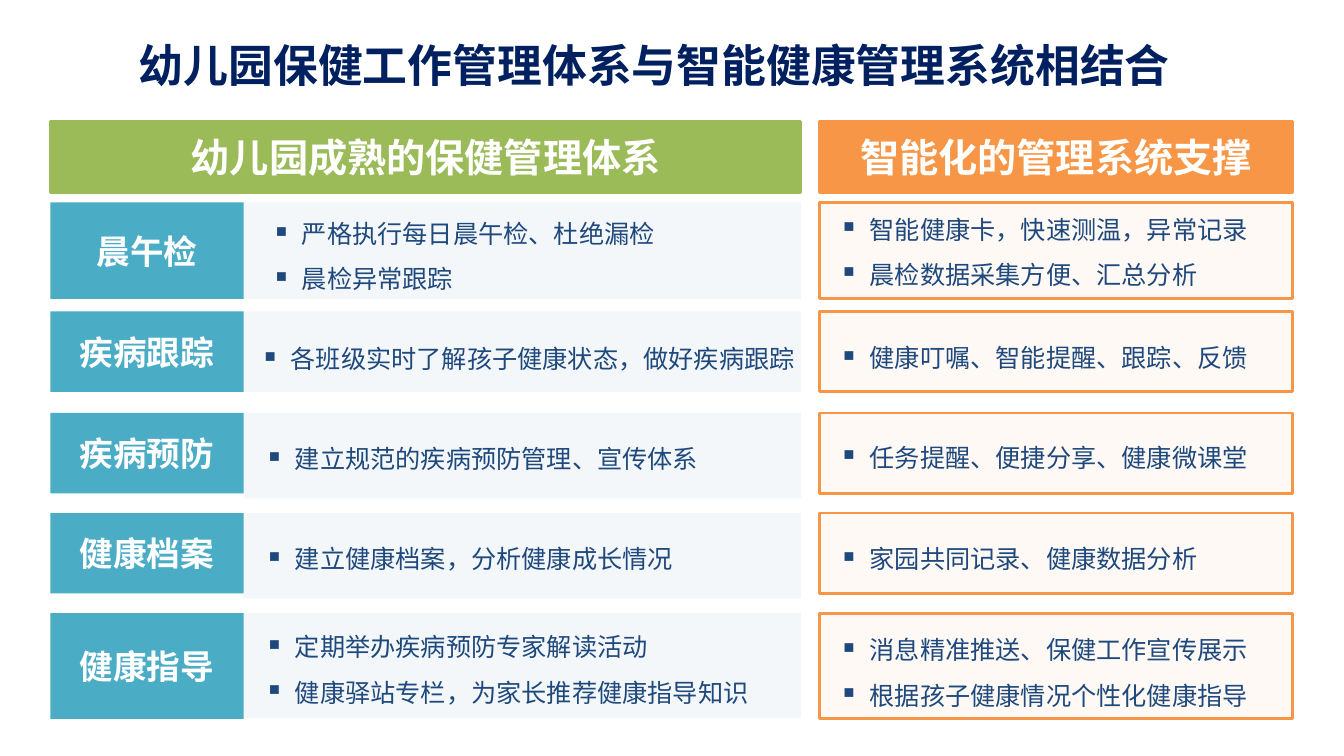
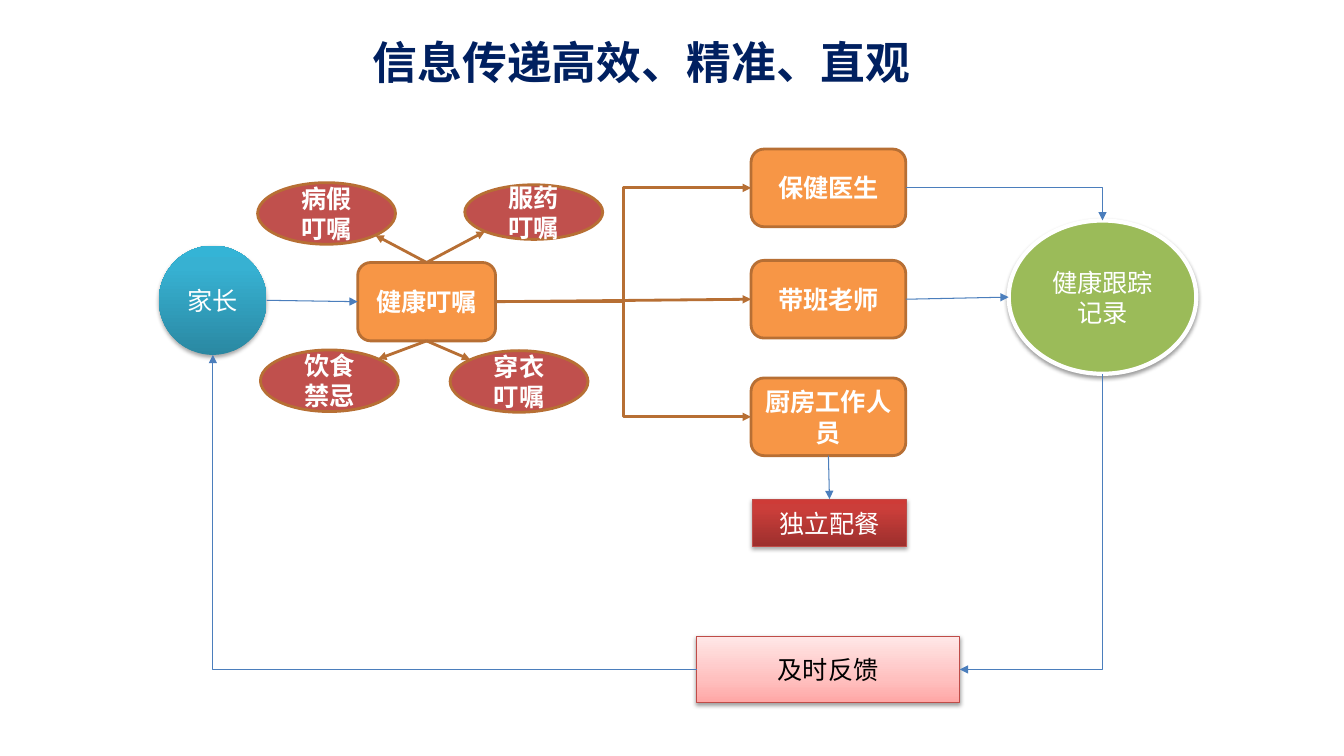
from dataclasses import dataclass
from math import cos, radians, sin

from lxml.etree import SubElement
from pptx import Presentation
from pptx.dml.color import RGBColor
from pptx.enum.shapes import MSO_CONNECTOR as Link, MSO_SHAPE as Form
from pptx.enum.text import MSO_ANCHOR as Anchor, MSO_AUTO_SIZE as Fit, PP_ALIGN as Align
from pptx.oxml.ns import qn
from pptx.util import Pt


@dataclass(frozen=True)
class Theme:
    navy: str = "002060"
    ink: str = "1F497D"
    white: str = "FFFFFF"
    black: str = "000000"
    teal: str = "4BACC6"
    green: str = "9BBB59"
    orange: str = "F79646"
    mist: str = "176C95"
    red: str = "C0504D"
    brown: str = "B76F34"
    blue: str = "4B7EBC"
    edge: str = "BF4C48"
    sea: tuple = ((0, "2A88A2"), (80, "37B1D2"), (100, "34B4D6"))
    wine: tuple = ((0, "9C2F2D"), (80, "CB3E3A"), (100, "CE3B37"))
    rose: tuple = ((0, "FFA6A5"), (35, "FFC0BF"), (100, "FFE7E7"))
    sans: str = "Noto Sans CJK SC"
    body: str = "Calibri"
    title: int = 32
    head: int = 28
    label: int = 24
    text: int = 18


T = Theme()
SIDES = ("n", "nw", "w", "sw", "s", "se", "e", "ne")
TURNS = {"e": 0, "s": 90, "w": 180}


def rgb(code):
    return RGBColor.from_string(code)


def put(root, tag, **attrs):
    return SubElement(root, qn(tag), {k: str(v) for k, v in attrs.items()})


def style(para, size, color, name, bold=False):
    font = para.font
    font.size, font.name, font.bold = Pt(size), name, bold
    font.color.rgb = rgb(color)


def paint(shape, fill, alpha=None):
    """Fill with a colour, or upwards with (percent, colour) stops."""
    props = shape.element.spPr
    if isinstance(fill, str):
        shape.fill.solid()
        shape.fill.fore_color.rgb = rgb(fill)
        if alpha:
            put(props.find(qn("a:solidFill"))[0], "a:alpha", val=alpha * 1000)
        return
    shape.fill.gradient()
    shape.fill.gradient_angle = 90
    stops = props.find(qn("a:gradFill")).find(qn("a:gsLst"))
    for old in list(stops):
        stops.remove(old)
    for pos, code in fill:
        put(put(stops, "a:gs", pos=pos * 1000), "a:srgbClr", val=code)


def draw(slide, form, box, fill, line=None, width=2, alpha=None, shade=0):
    """Add a shape; shade is the opacity of its shadow in percent."""
    shape = slide.shapes.add_shape(form, *map(Pt, box))
    shape.shadow.inherit = False
    paint(shape, fill, alpha)
    if line:
        shape.line.color.rgb = rgb(line)
        shape.line.width = Pt(width)
    else:
        shape.line.fill.background()
    if shade:
        glow = put(shape.element.spPr.find(qn("a:effectLst")), "a:outerShdw",
                   blurRad=Pt(3.1), dist=Pt(1.7), dir=5400000, rotWithShape=0)
        put(put(glow, "a:srgbClr", val=T.black), "a:alpha", val=shade * 1000)
    return shape


def write(shape, lines, size, color=T.white, name=T.body, bold=True):
    frame = shape.text_frame
    frame.word_wrap = True
    frame.vertical_anchor = Anchor.MIDDLE
    for i, text in enumerate(lines):
        para = frame.add_paragraph() if i else frame.paragraphs[0]
        para.text = text
        para.alignment = Align.CENTER
        style(para, size, color, name, bold)


def head(slide, text, box):
    title = slide.shapes.title
    title.left, title.top, title.width, title.height = map(Pt, box)
    frame = title.text_frame
    frame.text = text
    frame.auto_size = Fit.NONE
    frame.vertical_anchor = Anchor.TOP
    para = frame.paragraphs[0]
    para.alignment = Align.LEFT
    style(para, T.title, T.navy, T.sans, True)


def panel(slide, box, lines, inset, fill, line=None):
    """Tinted box with a bullet list; inset is its left and top margin."""
    shape = draw(slide, Form.RECTANGLE, box, fill, line, alpha=5)
    frame = shape.text_frame
    frame.word_wrap = True
    frame.vertical_anchor = Anchor.TOP
    frame.margin_left, frame.margin_top = map(Pt, inset)
    frame.margin_right = frame.margin_bottom = 0
    for i, text in enumerate(lines):
        para = frame.add_paragraph() if i else frame.paragraphs[0]
        para.text = text
        props = para._p.get_or_add_pPr()
        props.set("marL", str(Pt(18.7)))
        props.set("indent", str(-Pt(18.7)))
        put(props, "a:buSzPct", val=60000)
        put(props, "a:buChar", char="■")
        para.alignment = Align.LEFT
        para.line_spacing = 1.5
        style(para, T.text, T.ink, T.sans)


def site(shape, side):
    """Point on the edge of a shape that a compass side names."""
    turn = radians(90 + 45 * SIDES.index(side))
    return (int(shape.left + shape.width * (1 + cos(turn)) / 2),
            int(shape.top + shape.height * (1 - sin(turn)) / 2))


def corner(line, start, end, turn):
    """Turn a connector into one with a single right-angled bend."""
    wide, high = abs(end[0] - start[0]), abs(end[1] - start[1])
    midx, midy = (start[0] + end[0]) // 2, (start[1] + end[1]) // 2
    if turn == 90:
        wide, high = high, wide
    props = line.element.spPr
    props.find(qn("a:prstGeom")).set("prst", "bentConnector2")
    form = props.find(qn("a:xfrm"))
    for flip in ("flipH", "flipV"):
        form.attrib.pop(flip, None)
    form.set("rot", str(turn * 60000))
    line.left, line.top = midx - wide // 2, midy - high // 2
    line.width, line.height = wide, high


def join(slide, kind, tail, out, tip, into, color=T.blue, width=0.75):
    """Glue an arrow from one side of a shape to a side of another."""
    start, end = site(tail, out), site(tip, into)
    base = Link.STRAIGHT if kind == "line" else Link.ELBOW
    line = slide.shapes.add_connector(base, *start, *end)
    if kind == "corner":
        corner(line, start, end, TURNS[out])
    line.line.color.rgb = rgb(color)
    line.line.width = Pt(width)
    props = line.element.spPr
    put(props.find(qn("a:ln")), "a:tailEnd", type="triangle")
    put(props, "a:effectLst")
    glue = line.element.find(qn("p:nvCxnSpPr")).find(qn("p:cNvCxnSpPr"))
    for tag, shape, side in (("a:stCxn", tail, out), ("a:endCxn", tip, into)):
        step = 1 if shape.auto_shape_type == Form.OVAL else 2
        put(glue, tag, id=shape.shape_id, idx=SIDES.index(side) // step)


def row(slide, box, label, high, left, linset, right, rinset):
    """Label, practice and system panels; high is the practice panel's height."""
    x, y, w, h = box
    name = draw(slide, Form.RECTANGLE, (x, y, 138, h), T.teal)
    write(name, [label], T.label, name=T.sans)
    panel(slide, (x + 138, y, 398, high), left, linset, T.mist)
    panel(slide, (x + 549.5, y, w - 549.5, h), right, rinset, T.orange, T.orange)


def system(slide, box):
    x, y, w, h = box
    for dx, wide, text, fill in (
            (0, 536, "幼儿园成熟的保健管理体系", T.green),
            (549.5, w - 549.5, "智能化的管理系统支撑", T.orange)):
        bar = draw(slide, Form.RECTANGLE, (x + dx, y, wide, 50.5), fill, fill)
        write(bar, [text], T.head)
    rows = (
        (57.5, 69, "晨午检", 69,
         ["严格执行每日晨午检、杜绝漏检", "晨检异常跟踪"], (23, 0.7),
         ["智能健康卡，快速测温，异常记录", "晨检数据采集方便、汇总分析"], (17, -2.5)),
        (135.5, 57.5, "疾病跟踪", 57.5,
         ["各班级实时了解孩子健康状态，做好疾病跟踪"], (15, 12),
         ["健康叮嘱、智能提醒、跟踪、反馈"], (17, 11.5)),
        (208, 57.5, "疾病预防", 61,
         ["建立规范的疾病预防管理、宣传体系"], (18, 11),
         ["任务提醒、便捷分享、健康微课堂"], (17, 10)),
        (279.5, 57.5, "健康档案", 61,
         ["建立健康档案，分析健康成长情况"], (18, 11),
         ["家园共同记录、健康数据分析"], (17, 11)),
        (351, 75.5, "健康指导", 75,
         ["定期举办疾病预防专家解读活动", "健康驿站专栏，为家长推荐健康指导知识"], (18, 2.5),
         ["消息精准推送、保健工作宣传展示", "根据孩子健康情况个性化健康指导"], (17, 4.5)),
    )
    for dy, high, *rest in rows:
        row(slide, (x, y + dy, w, high), *rest)


def advice(slide, box):
    """The advice hub with its four kinds around it; returns the hub."""
    x, y, w, h = box
    hub = draw(slide, Form.ROUNDED_RECTANGLE, (x + 71.5, y + 57, 98.5, 56),
               T.orange, T.brown)
    write(hub, ["健康叮嘱"], T.text)
    for dx, dy, high, lines, out, into in (
            (0, 0, 44, ("病假", "叮嘱"), "n", "se"),
            (w - 90, 1.5, 39, ("服药", "叮嘱"), "n", "sw"),
            (2, h - 44.5, 44, ("饮食", "禁忌"), "s", "ne"),
            (137.5, h - 44, 44, ("穿衣", "叮嘱"), "s", "nw")):
        oval = draw(slide, Form.OVAL, (x + dx, y + dy, 98.5, high), T.red, T.brown)
        write(oval, lines, T.text)
        join(slide, "line", hub, out, oval, into, T.brown, 2)
    return hub


def staff(slide, box):
    """Column of the three roles; returns their boxes."""
    x, y, w, h = box
    found = []
    for dy, text in ((0, "保健医生"), (79.5, "带班老师"), (h - 55.5, "厨房工作人员")):
        role = draw(slide, Form.ROUNDED_RECTANGLE, (x, y + dy, w, 55.5),
                    T.orange, T.brown)
        write(role, [text], T.text)
        found.append(role)
    return found


def flow(slide, box):
    x, y, w, h = box
    home = draw(slide, Form.OVAL, (x, y + 69, 77, 78), T.sea, shade=35)
    write(home, ["家长"], T.text, bold=False)
    log = draw(slide, Form.OVAL, (x + w - 134, y + 51, 134, 109.5),
               T.green, T.white, 3, shade=38)
    write(log, ["健康跟踪", "记录"], T.text, bold=False)
    meal = draw(slide, Form.RECTANGLE, (x + 424, y + 250, 110, 34),
                T.wine, T.edge, 0.75, shade=35)
    write(meal, ["独立配餐"], T.text, bold=False)
    reply = draw(slide, Form.RECTANGLE, (x + 384, y + h - 47.5, 188, 47.5),
                 T.rose, T.edge, 0.75, shade=38)
    write(reply, ["及时反馈"], T.text, T.black, bold=False)

    hub = advice(slide, (x + 70.5, y + 24, 238, 164))
    doctor, tutor, cook = staff(slide, (x + 423, y, 110.5, 219))
    for kind, role in (("line", tutor), ("elbow", doctor), ("elbow", cook)):
        join(slide, kind, hub, "e", role, "w", T.brown, 2)
    for link in (("line", home, "e", hub, "w"),
                 ("corner", doctor, "e", log, "n"),
                 ("line", tutor, "e", log, "w"),
                 ("line", cook, "s", meal, "n"),
                 ("corner", log, "s", reply, "e"),
                 ("corner", reply, "w", home, "s")):
        join(slide, *link)


def main():
    deck = Presentation()
    deck.slide_width, deck.slide_height = Pt(960), Pt(540)
    for text, place, body, box in (
            ("幼儿园保健工作管理体系与智能健康管理系统相结合",
             (92, 23, 755, 46), system, (36, 87, 887, 427)),
            ("信息传递高效、精准、直观",
             (259, 21.5, 417, 46), flow, (113.5, 106.5, 741, 395.5))):
        slide = deck.slides.add_slide(deck.slide_layouts[5])
        head(slide, text, place)
        body(slide, box)
    deck.save("out.pptx")


if __name__ == "__main__":
    main()
